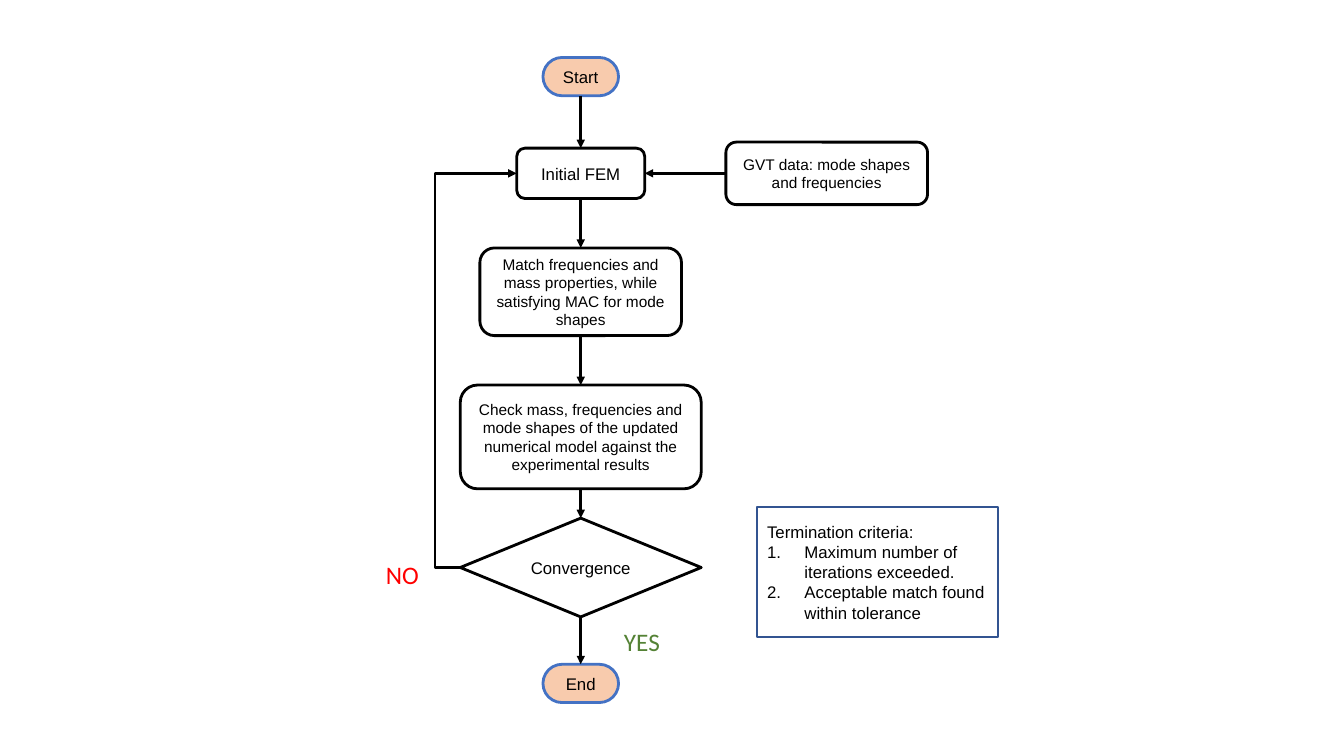
from lxml import etree
from pptx import Presentation
from pptx.dml.color import RGBColor
from pptx.enum.shapes import MSO_CONNECTOR as Connector, MSO_SHAPE as Shape
from pptx.enum.text import MSO_ANCHOR as Anchor, PP_ALIGN as Align
from pptx.oxml.ns import qn
from pptx.util import Inches, Pt

BLACK = RGBColor(0x00, 0x00, 0x00)
WHITE = RGBColor(0xFF, 0xFF, 0xFF)
PEACH = RGBColor(0xF8, 0xCB, 0xAD)
BLUE = RGBColor(0x44, 0x72, 0xC4)
DARK_BLUE = RGBColor(0x32, 0x54, 0x91)
GREEN = RGBColor(0x54, 0x82, 0x35)
RED = RGBColor(0xFF, 0x00, 0x00)

STEP = {"kind": Shape.ROUNDED_RECTANGLE, "fill": WHITE, "line": BLACK}
TERMINAL = {**STEP, "fill": PEACH, "line": BLUE, "corner": 0.5}
DECISION = {**STEP, "kind": Shape.DIAMOND}

# text, top, width, height, text size, style
STEPS = [
    ("Start", 0.57, 0.75, 0.38, 12, TERMINAL),
    ("Initial FEM", 1.47, 1.27, 0.5, 12, STEP),
    ("Match frequencies and mass properties, while satisfying MAC for mode shapes",
     2.46, 2, 0.87, 11, STEP),
    ("Check mass, frequencies and mode shapes of the updated numerical model "
     "against the experimental results", 3.82, 2.39, 1.03, 11, STEP),
    ("Convergence", 5.14, 2.39, 0.98, 12, DECISION),
    ("End", 6.59, 0.75, 0.38, 12, TERMINAL),
]
CRITERIA = ["Maximum number of iterations exceeded.",
            "Acceptable match found within tolerance"]


def write(paragraph, text, size, color=BLACK, name="Arial"):
    paragraph.text = text
    font = paragraph.font
    for attribute, value in {"size": Pt(size), "name": name}.items():
        setattr(font, attribute, value)
    font.color.rgb = color


def add_box(slide, box, text, size, style):
    """Add a flowchart shape with centred text in box (left, top, width, height)."""
    shape = slide.shapes.add_shape(style["kind"], *map(Inches, box))
    shape.shadow.inherit = False
    if "corner" in style:
        shape.adjustments[0] = style["corner"]
    shape.fill.solid()
    shape.fill.fore_color.rgb = style["fill"]
    shape.line.color.rgb = style["line"]
    shape.line.width = Pt(2)
    frame = shape.text_frame
    frame.word_wrap = True
    frame.vertical_anchor = Anchor.MIDDLE
    paragraph = frame.paragraphs[0]
    paragraph.alignment = Align.CENTER
    write(paragraph, text, size)
    return shape


def add_arrow(slide, start, end, kind=Connector.STRAIGHT):
    arrow = slide.shapes.add_connector(kind, *start, *end)
    arrow.line.color.rgb = BLACK
    arrow.line.width = Pt(2)
    etree.SubElement(arrow.line._get_or_add_ln(), qn("a:tailEnd"), type="triangle")
    etree.SubElement(arrow._element.spPr, qn("a:effectLst"))
    return arrow


def middle(shape):
    return shape.top + shape.height // 2


def add_flow(slide, center):
    """Stack the steps around a vertical axis and join them with arrows."""
    axis = Inches(center)
    shapes = [add_box(slide, (center - width / 2, top, width, height), text, size, style)
              for text, top, width, height, size, style in STEPS]
    for upper, lower in zip(shapes, shapes[1:]):
        add_arrow(slide, (axis, upper.top + upper.height), (axis, lower.top))
    return shapes


def add_loop(slide, decision, target, reach):
    """Lead the arrow back from decision to target, reach inches to the left."""
    arrow = add_arrow(slide, (decision.left, middle(decision)),
                      (target.left, middle(target)), Connector.ELBOW)
    geometry = arrow._element.spPr.find(qn("a:prstGeom"))
    guides = geometry.find(qn("a:avLst"))
    if guides is None:
        guides = etree.SubElement(geometry, qn("a:avLst"))
    bend = round(-Inches(reach) / arrow.width * 100000)
    etree.SubElement(guides, qn("a:gd"), name="adj1", fmla=f"val {bend}")


def add_input(slide, box, target):
    source = add_box(slide, box, "GVT data: mode shapes and frequencies", 11, STEP)
    add_arrow(slide, (source.left, middle(source)),
              (target.left + target.width, middle(source)))


def add_answer(slide, left, top, text, color):
    label = slide.shapes.add_textbox(*map(Inches, (left, top, 0.63, 0.4)))
    label.text_frame.word_wrap = True
    write(label.text_frame.paragraphs[0], text, 18, color, "Calibri")


def add_criteria(slide, box):
    panel = slide.shapes.add_shape(Shape.RECTANGLE, *map(Inches, box))
    panel.shadow.inherit = False
    panel.fill.background()
    panel.line.color.rgb = DARK_BLUE
    panel.line.width = Pt(1)
    frame = panel.text_frame
    frame.word_wrap = True
    frame.vertical_anchor = Anchor.MIDDLE
    heading = frame.paragraphs[0]
    heading.alignment = Align.LEFT
    write(heading, "Termination criteria:", 12)
    for criterion in CRITERIA:
        paragraph = frame.add_paragraph()
        paragraph.alignment = Align.LEFT
        properties = paragraph._p.get_or_add_pPr()
        indent = Inches(0.37)
        properties.set("marL", str(indent))
        properties.set("indent", str(-indent))
        etree.SubElement(properties, qn("a:buFont"), typeface="+mj-lt")
        etree.SubElement(properties, qn("a:buAutoNum"), type="arabicPeriod")
        write(paragraph, criterion, 12)


def main():
    presentation = Presentation()
    presentation.slide_width = Inches(13.33)
    presentation.slide_height = Inches(7.5)
    slide = presentation.slides.add_slide(presentation.slide_layouts[6])
    _, model, _, _, decision, _ = add_flow(slide, 5.76)
    add_input(slide, (7.2, 1.41, 2, 0.62), model)
    add_loop(slide, decision, model, 0.25)
    add_answer(slide, 6.09, 6.16, "YES", GREEN)
    add_answer(slide, 3.73, 5.5, "NO", RED)
    add_criteria(slide, (7.51, 5.03, 2.39, 1.29))
    presentation.save("out.pptx")


if __name__ == "__main__":
    main()
